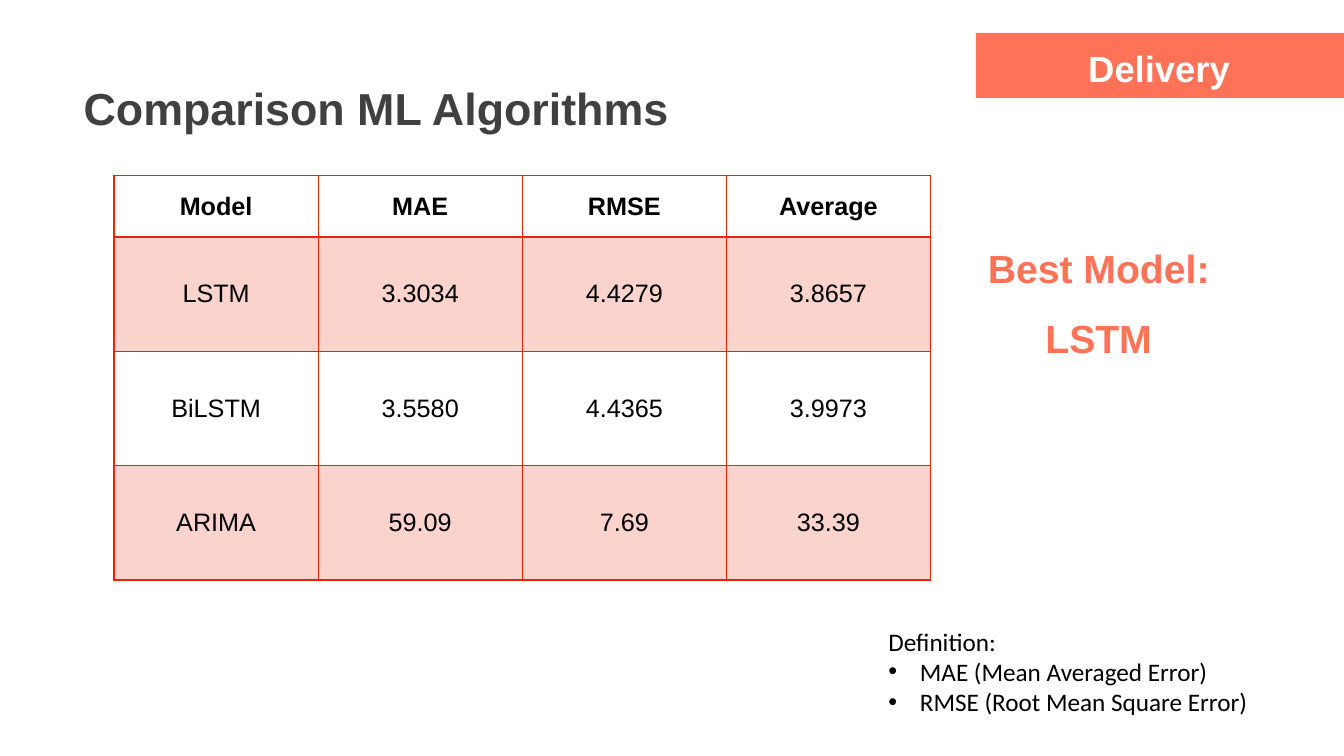
from lxml import etree
from pptx import Presentation
from pptx import util as u
from pptx.dml import color
from pptx.enum import shapes, text
from pptx.oxml import ns

CORAL, RED, BLACK = "FE7358", "E62601", "000000"
LEFT, CENTER = text.PP_ALIGN.LEFT, text.PP_ALIGN.CENTER
TOP, MIDDLE = text.MSO_ANCHOR.TOP, text.MSO_ANCHOR.MIDDLE
SCORES = [
    ("Model", "MAE", "RMSE", "Average"),
    ("LSTM", "3.3034", "4.4279", "3.8657"),
    ("BiLSTM", "3.5580", "4.4365", "3.9973"),
    ("ARIMA", "59.09", "7.69", "33.39"),
]


def rgb(value):
    return color.RGBColor.from_string(value)


def add_bullet(paragraph, indent):
    properties = paragraph._p.get_or_add_pPr()
    properties.set("marL", str(u.Pt(indent)))
    properties.set("indent", str(-u.Pt(indent)))
    etree.SubElement(properties, ns.qn("a:buFont"), typeface="Arial")
    etree.SubElement(properties, ns.qn("a:buChar"), char="•")


def write(frame, lines, size=18, fill=BLACK, bold=False, font="Arial",
          align=LEFT, anchor=TOP, spacing=1.0, bullets_from=None):
    frame.word_wrap = True
    frame.vertical_anchor = anchor
    for index, line in enumerate(lines):
        paragraph = frame.add_paragraph() if index else frame.paragraphs[0]
        if bullets_from is not None and index >= bullets_from:
            add_bullet(paragraph, 22.5)
        paragraph.alignment = align
        paragraph.line_spacing = spacing
        run = paragraph.add_run()
        run.text = line
        run.font.name, run.font.size, run.font.bold = font, u.Pt(size), bold
        run.font.color.rgb = rgb(fill)


class SlideBuilder:
    """Hold the slide and its style, and add each kind of element in points."""

    def __init__(self, presentation):
        self.slide = presentation.slides.add_slide(presentation.slide_layouts[5])

    def title(self, line, left, top, width, height):
        shape = self.slide.shapes.title
        shape.left, shape.top = u.Pt(left), u.Pt(top)
        shape.width, shape.height = u.Pt(width), u.Pt(height)
        write(shape.text_frame, [line], size=32, fill="404040", bold=True)

    def rectangle(self, fill, *box):
        shape = self.slide.shapes.add_shape(shapes.MSO_SHAPE.RECTANGLE, *map(u.Pt, box))
        shape.shadow.inherit = False
        shape.fill.solid()
        shape.fill.fore_color.rgb = rgb(fill)
        shape.line.fill.background()

    def text(self, lines, *box, **style):
        shape = self.slide.shapes.add_textbox(*map(u.Pt, box))
        write(shape.text_frame, lines, **style)

    def table(self, rows, left, top, column_width, row_heights):
        frame = self.slide.shapes.add_table(
            len(rows), len(rows[0]), u.Pt(left), u.Pt(top),
            u.Pt(column_width * len(rows[0])), u.Pt(sum(row_heights)))
        table = frame.table
        table.first_row = table.horz_banding = False
        for column in table.columns:
            column.width = u.Pt(column_width)
        for r, (values, height) in enumerate(zip(rows, row_heights)):
            table.rows[r].height = u.Pt(height)
            for c, value in enumerate(values):
                cell = table.cell(r, c)
                write(cell.text_frame, [value], bold=r == 0, align=CENTER)
                cell.vertical_anchor = MIDDLE
                self.shade(cell, r % 2 == 1)
                self.borders(cell, L=1, R=1, T=2 if r == 1 else 1, B=2 if r == 0 else 1)

    def shade(self, cell, tinted):
        if not tinted:
            cell.fill.background()
            return
        cell.fill.solid()
        cell.fill.fore_color.rgb = rgb(RED)
        tint = cell._tc.tcPr.find(".//" + ns.qn("a:srgbClr"))
        etree.SubElement(tint, ns.qn("a:alpha"), val="20000")

    def borders(self, cell, **widths):
        properties = cell._tc.get_or_add_tcPr()
        for index, (side, width) in enumerate(widths.items()):
            line = etree.Element(ns.qn("a:ln" + side), w=str(u.Pt(width)))
            fill = etree.SubElement(line, ns.qn("a:solidFill"))
            etree.SubElement(fill, ns.qn("a:srgbClr"), val=RED)
            properties.insert(index, line)


def main():
    presentation = Presentation()
    presentation.slide_width, presentation.slide_height = u.Pt(960), u.Pt(540)
    builder = SlideBuilder(presentation)
    builder.title("Comparison ML Algorithms", 52.5, 54, 530, 80)
    builder.rectangle(CORAL, 697, 23.5, 263, 46.5)
    builder.text(["Delivery"], 716, 23.5, 224, 46.5, size=26, fill="FFFFFF",
                 bold=True, align=CENTER, anchor=MIDDLE, spacing=1.1)
    builder.table(SCORES, 81.5, 125.5, 145.8, [43.7] + [81.7] * 3)
    builder.text(["Best Model: LSTM"], 694, 154, 181.5, 103, size=28, fill=CORAL,
                 bold=True, align=CENTER, spacing=1.5)
    builder.text(["Definition:", "MAE (Mean Averaged Error)", "RMSE (Root Mean Square Error)"],
                 627.5, 443.5, 304.5, 72.7, font="Calibri", bullets_from=1)
    presentation.save("out.pptx")


if __name__ == "__main__":
    main()
